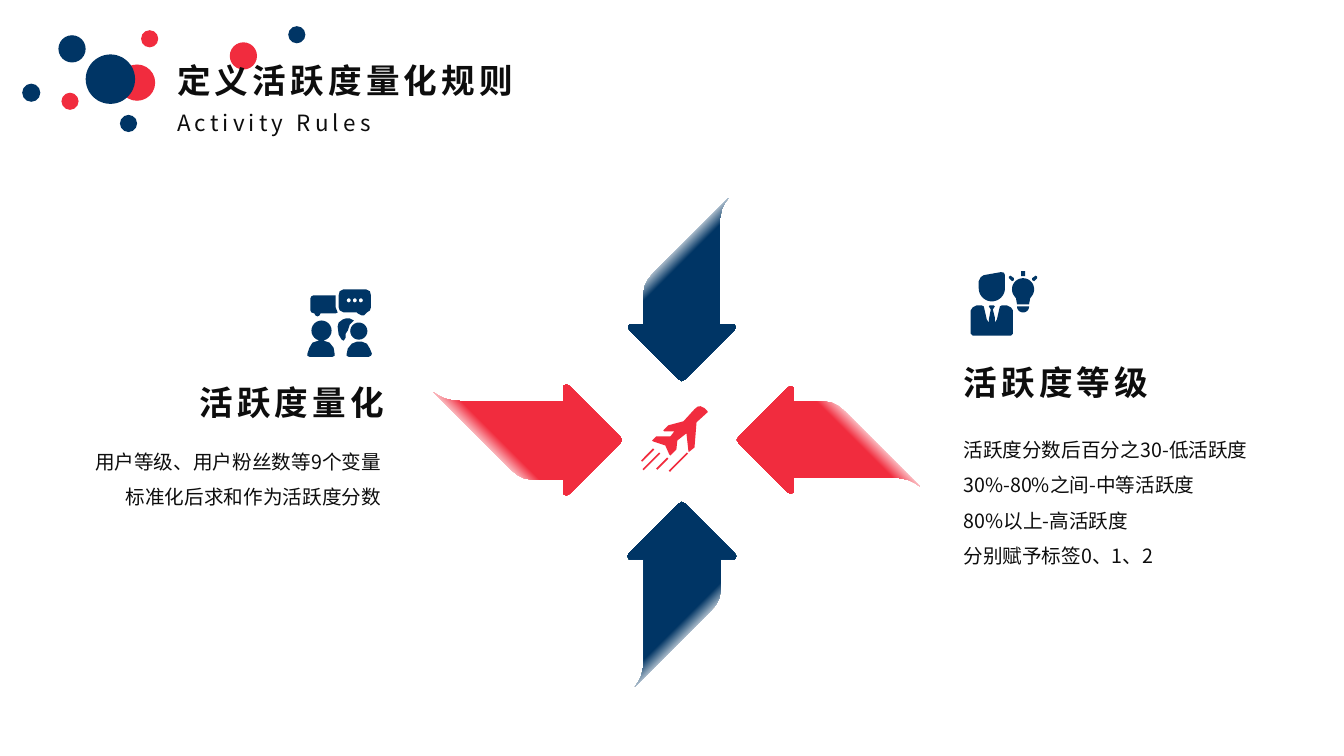
from copy import deepcopy
from math import cos, radians, sin

from lxml.etree import SubElement
from pptx import Presentation
from pptx.dml.color import RGBColor
from pptx.enum.shapes import MSO_SHAPE
from pptx.enum.text import MSO_AUTO_SIZE, PP_ALIGN
from pptx.oxml.ns import qn
from pptx.util import Inches, Pt

CELL = 0.1
COLS, ROWS = 133.33, 75
RED, NAVY, INK, WHITE = "F12C3E", "003565", "0D0D0D", "FFFFFF"


def rgb(value):
    return RGBColor.from_string(value)


def grid(n):
    return Inches(n * CELL)


def arc(cx, cy, r, start=0, end=360):
    steps = 24
    angles = [radians(start + (end - start) * i / steps) for i in range(steps + 1)]
    return [(cx + r * cos(a), cy + r * sin(a)) for a in angles]


def streak(x, y, length):
    w = 0.6
    return [(x - w, y - w), (x + w, y + w),
            (x - length + w, y + length + w), (x - length - w, y + length - w)]


class Canvas:
    font = "Noto Sans CJK SC"

    def __init__(self, prs):
        self.s = prs.slides.add_slide(prs.slide_layouts[6])

    def finish(self, sp, color):
        sp.shadow.inherit = False
        sp.line.fill.background()
        sp.fill.solid()
        sp.fill.fore_color.rgb = rgb(color)
        return sp

    def dot(self, col, row, size, color):
        sp = self.s.shapes.add_shape(MSO_SHAPE.OVAL, *map(grid, (col, row, size, size)))
        return self.finish(sp, color)

    def outline(self, col, row, contours, color):
        """Contours are in tenths of a grid cell."""
        shifted = [[(grid(col + x / 10), grid(row + y / 10)) for x, y in c] for c in contours]
        builder = self.s.shapes.build_freeform(*shifted[0][0], scale=1.0)
        for i, points in enumerate(shifted):
            if i:
                builder.move_to(*points[0])
            builder.add_line_segments(points[1:], close=True)
        return self.finish(builder.convert_to_shape(), color)

    def arrow(self, col, row, turns, size, color):
        points = [(x * size, y * size) for x, y in RIBBON_ARROW]
        for _ in range(turns):
            points = [(-y, x) for x, y in points]
        sp = self.outline(col, row, [points], color)
        sp.fill.gradient()
        sp.fill.gradient_angle = (45 - 90 * turns) % 360
        stop_list = sp._element.spPr.find(".//" + qn("a:gsLst"))
        for stop in list(stop_list):
            stop_list.append(deepcopy(stop))
        fade = [(0.02, WHITE), (0.31, WHITE), (0.41, color), (1, color)]
        for stop, (position, shade) in zip(sp.fill.gradient_stops, fade):
            stop.position = position
            stop.color.rgb = rgb(shade)

    def text(self, col, row, width, height, lines, size, bold=False,
             spacing=0, align=PP_ALIGN.LEFT, leading=None):
        tf = self.s.shapes.add_textbox(*map(grid, (col, row, width, height))).text_frame
        tf.word_wrap = leading is not None
        tf.auto_size = MSO_AUTO_SIZE.SHAPE_TO_FIT_TEXT
        tf.text = "\n".join(lines)
        for p in tf.paragraphs:
            p.alignment = align
            p.line_spacing = leading
            for r in p.runs:
                r.font.size, r.font.bold, r.font.name = Pt(size), bold, self.font
                r.font.color.rgb = rgb(INK)
                rPr = r._r.get_or_add_rPr()
                rPr.set("spc", str(spacing * 100))
                SubElement(rPr, qn("a:ea")).set("typeface", self.font)


RIBBON_ARROW = [
    (-52, 53.5), (-2, 3.5), (0, 0), (-2, -3.5), (-52, -53.5), (-55, -55), (-58, -53.5),
    (-58, -38.5), (-159, -38.5), (-167, -39), (-176, -41), (-182, -44), (-187, -47.5),
    (-110, 29.5), (-104, 34.5), (-97, 38), (-88, 39.5), (-58, 39.5), (-58, 53.5), (-55, 55)]

PLANE = [
    [(59, 0), (63, 2), (66, 5), (66, 6), (55, 16), (53, 41), (48, 45), (47, 45),
     (45, 27), (36, 34), (35, 43), (29, 49), (28, 48), (24, 39), (12, 35), (11, 34),
     (15, 30), (29, 30), (33, 25), (23, 25), (22, 24), (27, 19), (42, 15), (53, 3), (56, 0.5)],
    streak(26.5, 51.5, 11), streak(46, 46.5, 18), streak(18.5, 46.5, 16.5), streak(12.5, 42.5, 12)]

RAY = [(38, 5.5), (39.5, 4.5), (43, 7), (43, 9), (41, 10), (38, 7)]
THINKER = [
    [(6, 34), (11, 34), (13, 35), (16, 48), (18, 51), (18, 48), (20, 38), (18, 35), (19, 34),
     (23, 34), (24, 35), (22, 38), (24, 46), (24, 51), (26, 48), (29, 35), (31, 34), (36, 34),
     (40, 36), (42, 39), (42, 62), (40, 64), (2, 64), (0, 62), (0, 39), (2, 36)],
    arc(21, 17, 13, 0, 180) + [(8, 10), (10, 6), (13, 4), (30, 1), (33, 1.5), (34, 4)],
    arc(52, 18, 11, 150, 390) + [(59, 27), (58, 33), (46, 33), (45, 27)],
    arc(52, 35, 6, 0, 180),
    [(50, 0), (54, 0), (54, 5), (50, 5)],
    RAY, [(104 - x, y) for x, y in RAY]]

CHAT = [
    [(11, 51), (16, 51), (22, 53), (26, 58), (27, 64), (27, 66), (25, 67), (2, 67),
     (0, 66), (0, 64), (2, 58), (5, 53)],
    [(49, 52), (54, 52), (59, 54), (62, 59), (64, 64), (63, 66), (61, 67), (41, 67),
     (39, 66), (39, 64), (40, 59), (44, 54)],
    arc(14, 41, 10), arc(51, 41.5, 8.5),
    [(38, 29), (42, 29), (46, 31), (42, 35), (40, 41), (38, 44), (38, 48), (36, 51),
     (34, 50), (31, 45), (30, 37), (31, 33), (35, 30)],
    [(6, 6), (28, 6), (28, 18), (30, 23), (28, 24), (13, 24), (12, 26), (10, 27),
     (8, 26), (7, 24), (4, 23), (3, 21), (3, 9), (4, 7)],
    [(36, 0), (58, 0), (62, 2), (63, 6), (63, 18), (62, 21), (59, 23), (56, 26), (54, 26),
     (50, 24), (49, 23), (36, 23), (32, 21), (31, 18), (31, 6), (32, 2)],
    *[arc(x, 11, 2) for x in (41, 47, 53)]]

DOTS = [
    (22.8, 4.2, 2.7, RED), (11.8, 6.4, 3.6, RED), (6.1, 9.2, 1.7, RED),
    (8.5, 5.4, 4.9, NAVY), (2.2, 8.3, 1.8, NAVY), (5.8, 3.5, 2.7, NAVY),
    (14, 3, 1.7, RED), (28.6, 2.6, 1.7, NAVY), (11.9, 11.4, 1.7, NAVY)]

ARROWS = [
    (61.7, 43.65, 0, 1, RED), (73.1, 43.65, 2, 0.97, RED),
    (67.65, 37.8, 1, 0.97, NAVY), (67.65, 49.8, 3, 0.98, NAVY)]


def main():
    prs = Presentation()
    prs.slide_width, prs.slide_height = grid(COLS), grid(ROWS)
    canvas = Canvas(prs)
    for dot in DOTS:
        canvas.dot(*dot)
    canvas.text(16.6, 5.5, 36.1, 5, ["定义活跃度量化规则"], 24, bold=True, spacing=3)
    canvas.text(16.6, 10.3, 22.3, 3.7, ["Activity Rules"], 16, spacing=3)
    for arrow in ARROWS:
        canvas.arrow(*arrow)
    canvas.text(18.1, 37.4, 21, 5, ["活跃度量化"], 24, bold=True, spacing=3,
                align=PP_ALIGN.RIGHT)
    canvas.text(-0.5, 43, 39.3, 7.7,
                ["用户等级、用户粉丝数等9个变量", "标准化后求和作为活跃度分数"],
                14, align=PP_ALIGN.RIGHT, leading=1.5)
    canvas.text(94.6, 35.4, 21, 5, ["活跃度等级"], 24, bold=True, spacing=3)
    canvas.text(94.6, 41.8, 39.3, 14.7,
                ["活跃度分数后百分之30-低活跃度", "30%-80%之间-中等活跃度",
                 "80%以上-高活跃度", "分别赋予标签0、1、2"], 14, leading=1.5)
    canvas.outline(63.6, 40.3, PLANE, RED)
    canvas.outline(96.3, 26.9, THINKER, NAVY)
    canvas.outline(30.5, 28.7, CHAT, NAVY)
    prs.save("out.pptx")


if __name__ == "__main__":
    main()
